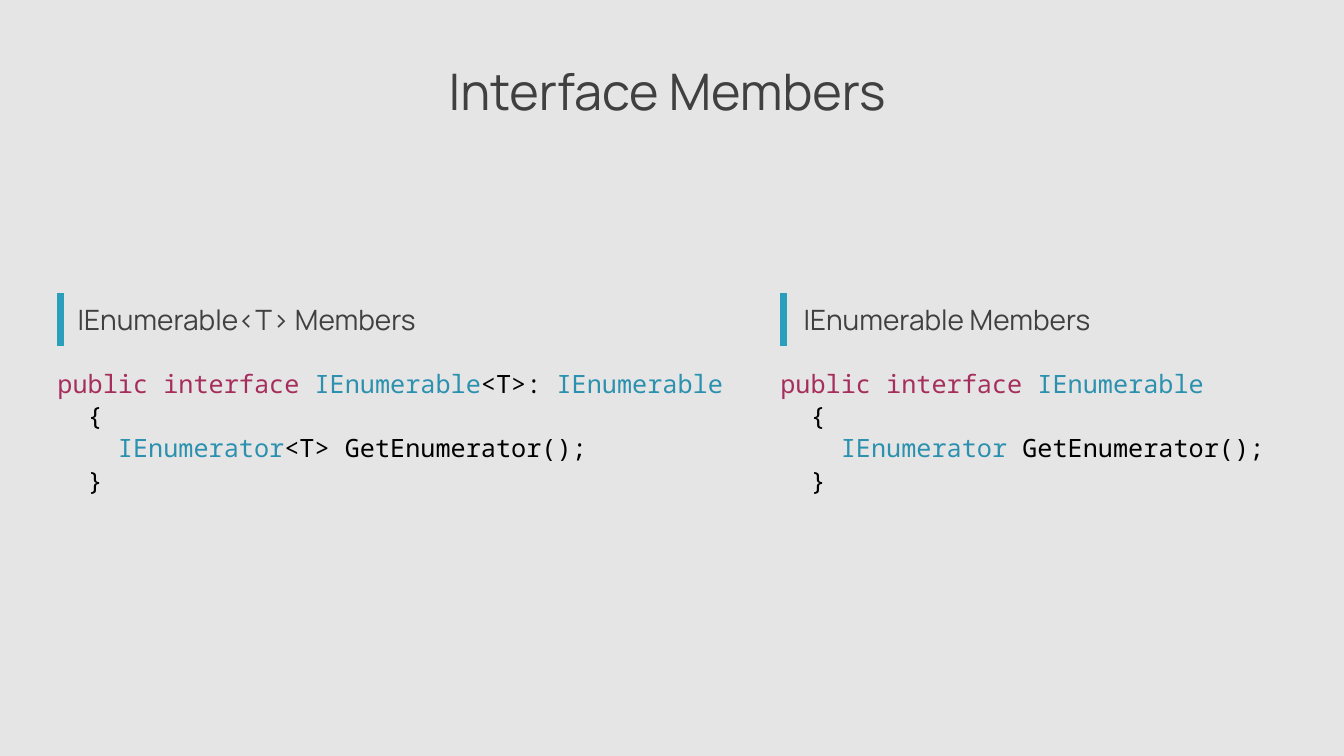
from dataclasses import dataclass
from pptx import Presentation
from pptx.dml.color import RGBColor
from pptx.enum.shapes import MSO_CONNECTOR, MSO_SHAPE
from pptx.enum.text import MSO_ANCHOR, PP_ALIGN
from pptx.oxml.ns import qn
from pptx.util import Inches, Pt
from lxml.etree import SubElement


@dataclass(frozen=True)
class Theme:
    back: str = "E5E5E5"
    text: str = "404040"
    rule: str = "2A9FBC"
    key: str = "A62E5C"
    kind: str = "2B91AF"
    plain: str = "000000"
    sans: str = "Manrope"
    mono: str = "Noto Sans Mono"
    title: int = 36
    head: int = 20
    code: int = 18


theme = Theme()


def color(name):
    return RGBColor.from_string(name)


def style(run, face, size, tint):
    run.font.name = face
    run.font.size = Pt(size)
    run.font.color.rgb = color(tint)


def add_text(slide, box, pads=(0, 0, 0, 0), anchor=MSO_ANCHOR.TOP):
    frame = slide.shapes.add_textbox(*map(Inches, box)).text_frame
    frame.word_wrap = True
    frame.vertical_anchor = anchor
    (frame.margin_left, frame.margin_top,
     frame.margin_right, frame.margin_bottom) = map(Inches, pads)
    return frame


def add_back(slide, box):
    back = slide.shapes.add_shape(MSO_SHAPE.RECTANGLE, *map(Inches, box))
    back.shadow.inherit = False
    back.fill.solid()
    back.fill.fore_color.rgb = color(theme.back)
    back.line.fill.background()


def add_title(slide, box, words):
    frame = add_text(slide, box, (0, 0.05, 0.1, 0.05))
    frame.text = words
    line = frame.paragraphs[0]
    line.alignment = PP_ALIGN.CENTER
    line.line_spacing = 0.85
    style(line.runs[0], theme.sans, theme.title, theme.text)


def add_head(slide, box, words, shift):
    left, top, width, height = box
    frame = add_text(slide, box, (0.2,) * 4, MSO_ANCHOR.MIDDLE)
    frame.text = words
    line = frame.paragraphs[0]
    line.space_before = Pt(6)
    style(line.runs[0], theme.sans, theme.head, theme.text)
    side = left + shift
    rule = slide.shapes.add_connector(
        MSO_CONNECTOR.STRAIGHT,
        *map(Inches, (side, top, side, top + height)))
    rule.line.color.rgb = color(theme.rule)
    rule.line.width = Pt(5)
    SubElement(rule._element.spPr, qn("a:effectLst"))


def add_code(slide, box, lines):
    frame = add_text(slide, box)
    for index, (depth, parts) in enumerate(lines):
        line = frame.add_paragraph() if index else frame.paragraphs[0]
        line.line_spacing = 1.07
        line._p.get_or_add_pPr().set("marL", str(Inches(0.3 * depth)))
        for words, tint in parts:
            run = line.add_run()
            run.text = words
            style(run, theme.mono, theme.code, tint)


def add_panel(slide, box, head, room, inset, shift, first, member):
    left, top, width, height = box
    add_head(slide, (left + inset, top, room, 0.52), head, shift)
    lines = [
        (0, [("public interface ", theme.key)] + first),
        (1, [("{", theme.plain)]),
        (2, [("IEnumerator", theme.kind), (member, theme.plain)]),
        (1, [("}", theme.plain)]),
    ]
    add_code(slide, (left, top + 0.72, width, height - 0.72), lines)


def add_members(deck, box):
    slide = deck.slides.add_slide(deck.slide_layouts[6])
    add_back(slide, box)
    left, top, width, height = box
    add_title(slide, (left + 0.77, top + 0.64, width - 1.54, 0.48),
              "Interface Members")
    base = ("IEnumerable", theme.kind)
    row, tall = top + 2.91, height - 3.06
    add_panel(slide, (left + 0.57, row, 6.73, tall),
              "IEnumerable<T> Members", 4.07, 0, 0.03,
              [base, ("<T>: ", theme.plain), base],
              "<T> GetEnumerator();")
    add_panel(slide, (left + 7.74, row, 5.03, tall),
              "IEnumerable Members", 4.23, 0.03, 0,
              [base], " GetEnumerator();")


deck = Presentation()
deck.slide_width = Inches(13.33)
deck.slide_height = Inches(7.5)
add_members(deck, (0, 0, 13.33, 7.5))
deck.save("out.pptx")
